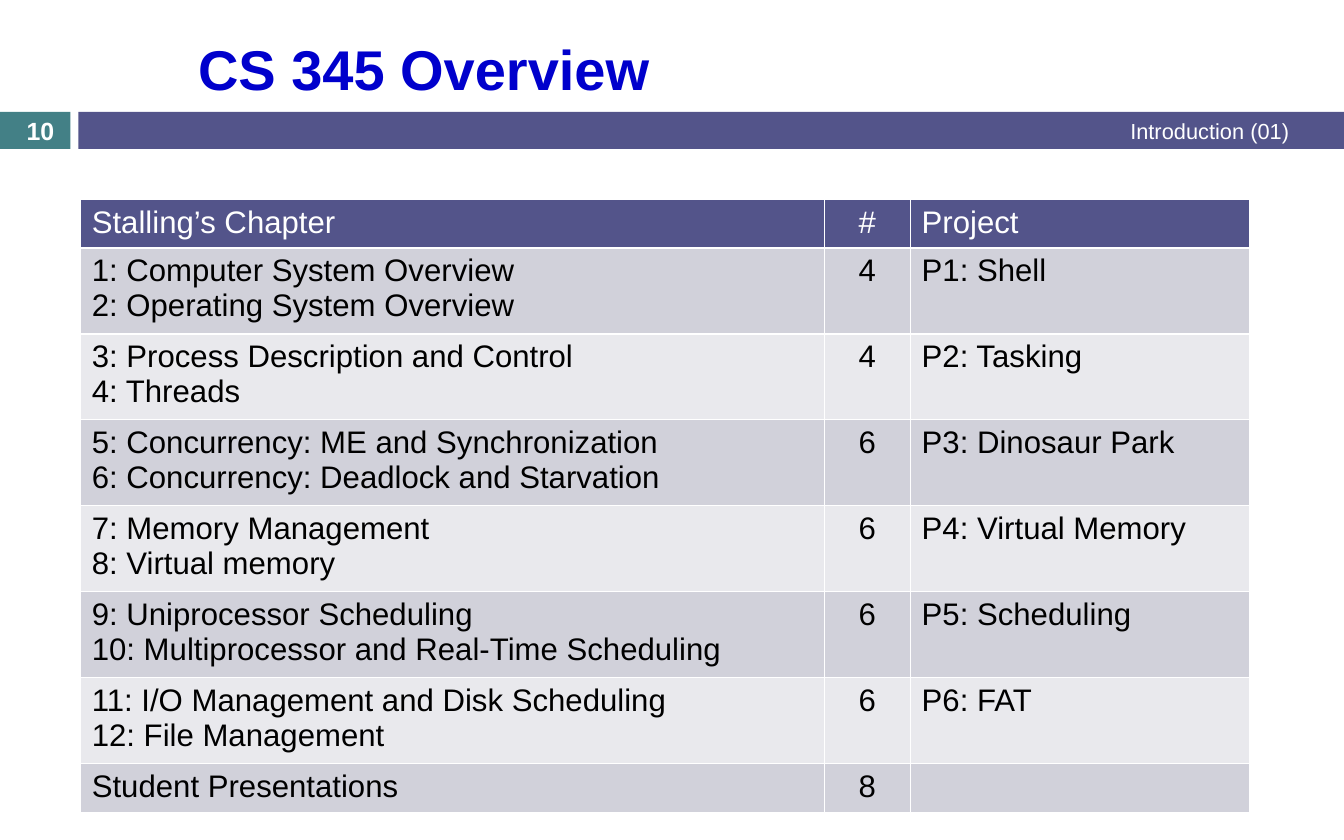
import pptx
import pptx.util
import pptx.dml.color
import pptx.enum.shapes
import pptx.enum.text
import pptx.oxml
import pptx.oxml.ns

Inches = pptx.util.Inches
Pt = pptx.util.Pt
ALIGN = pptx.enum.text.PP_ALIGN
MIDDLE = pptx.enum.text.MSO_ANCHOR.MIDDLE

COLORS = {
    "teal": "438086",
    "indigo": "53548A",
    "title": "0000CC",
    "white": "FFFFFF",
    "black": "000000",
    "dark_band": "D1D1DA",
    "light_band": "E9E9ED",
}
HEADINGS = ("Stalling’s Chapter", "#", "Project")
SCHEDULE = [
    ("1: Computer System Overview\n2: Operating System Overview", "4", "P1: Shell"),
    ("3: Process Description and Control\n4: Threads", "4", "P2: Tasking"),
    ("5: Concurrency: ME and Synchronization\n6: Concurrency: Deadlock and Starvation",
     "6", "P3: Dinosaur Park"),
    ("7: Memory Management\n8: Virtual memory", "6", "P4: Virtual Memory"),
    ("9: Uniprocessor Scheduling\n10: Multiprocessor and Real-Time Scheduling",
     "6", "P5: Scheduling"),
    ("11: I/O Management and Disk Scheduling\n12: File Management", "6", "P6: FAT"),
    ("Student Presentations", "8", ""),
]
COLUMN_WIDTHS = (6.64, 0.77, 3.03)
COLUMN_ALIGNS = (ALIGN.LEFT, ALIGN.CENTER, ALIGN.LEFT)
ROW_HEIGHTS = {1: 0.41, 2: 0.72}


def rgb(name):
    return pptx.dml.color.RGBColor.from_string(COLORS[name])


def paint(target, color):
    target.fill.solid()
    target.fill.fore_color.rgb = rgb(color)


def write(frame, text, color, align=ALIGN.LEFT, **font):
    frame.text = text
    values = {"name": "Arial", **font}
    for para in frame.paragraphs:
        para.alignment = align
        for span in para.runs:
            span.font.color.rgb = rgb(color)
            for key, value in values.items():
                setattr(span.font, key, value)


def add_bar(page, bounds, color):
    bar = page.shapes.add_shape(
        pptx.enum.shapes.MSO_SHAPE.RECTANGLE, *map(Inches, bounds))
    bar.shadow.inherit = False
    paint(bar, color)
    bar.line.fill.background()


def add_text(page, bounds, text, color, **style):
    box = page.shapes.add_textbox(*map(Inches, bounds))
    frame = box.text_frame
    frame.word_wrap = True
    frame.vertical_anchor = MIDDLE
    write(frame, text, color, **style)


def add_borders(cell):
    properties = cell._tc.get_or_add_tcPr()
    for index, tag in enumerate(("lnL", "lnR", "lnT", "lnB")):
        properties.insert(index, pptx.oxml.parse_xml(
            f'<a:{tag} {pptx.oxml.ns.nsdecls("a")} w="{Pt(1)}">'
            f'<a:solidFill><a:srgbClr val="{COLORS["white"]}"/></a:solidFill></a:{tag}>'))


def add_schedule(page, left, top):
    rows = [HEADINGS, *SCHEDULE]
    heights = [ROW_HEIGHTS[len(row[0].split("\n"))] for row in rows]
    bounds = (left, top, sum(COLUMN_WIDTHS), sum(heights))
    table = page.shapes.add_table(
        len(rows), len(HEADINGS), *map(Inches, bounds)).table
    for column, width in zip(table.columns, COLUMN_WIDTHS):
        column.width = Inches(width)
    for index, row in enumerate(rows):
        table.rows[index].height = Inches(heights[index])
        header = index == 0
        band = "dark_band" if index % 2 else "light_band"
        for position, text in enumerate(row):
            cell = table.cell(index, position)
            paint(cell, "indigo" if header else band)
            add_borders(cell)
            write(cell.text_frame, text, "white" if header else "black",
                  COLUMN_ALIGNS[position], size=Pt(20), bold=False)


def main():
    deck = pptx.Presentation()
    deck.slide_width, deck.slide_height = Inches(12), Inches(7.5)
    page = deck.slides.add_slide(deck.slide_layouts[6])
    add_bar(page, (0, 1, 0.63, 0.33), "teal")
    add_bar(page, (0.7, 1, 11.3, 0.33), "indigo")
    add_text(page, (1.67, 0.25, 7.86, 0.72), "CS 345 Overview", "title",
             size=Pt(36), bold=True)
    add_schedule(page, 0.72, 1.78)
    add_text(page, (4.5, 0.99, 7.11, 0.35), "Introduction (01)", "white",
             align=ALIGN.RIGHT, size=Pt(14))
    add_text(page, (0, 1.02, 0.72, 0.3), "10", "white",
             align=ALIGN.CENTER, size=Pt(16), bold=True)
    deck.save("out.pptx")


if __name__ == "__main__":
    main()
